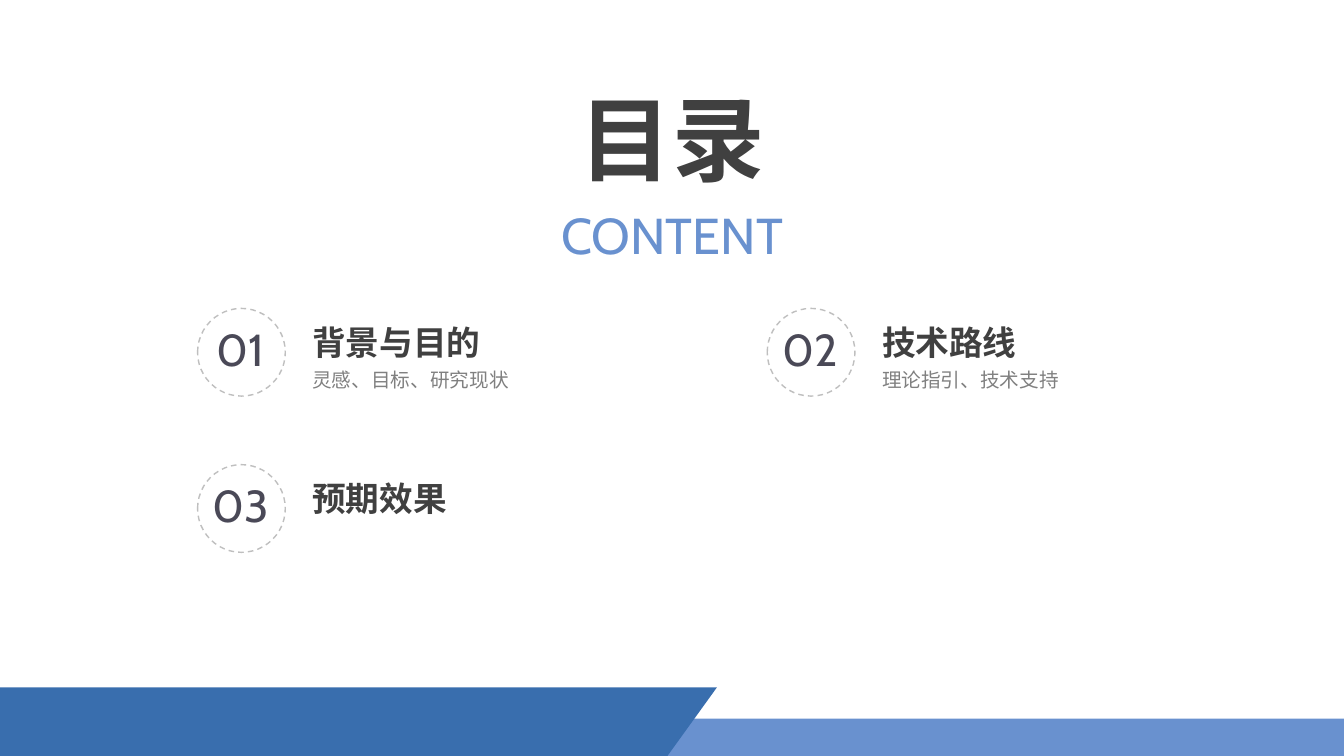
from pptx import Presentation
from pptx.dml.color import RGBColor
from pptx.enum.dml import MSO_LINE
from pptx.enum.shapes import MSO_SHAPE
from pptx.enum.text import MSO_AUTO_SIZE, PP_ALIGN
from pptx.util import Inches, Pt

COLORS = {
    "background": "FFFFFF",
    "band": "6991CF",
    "wedge": "396EAE",
    "heading": "404040",
    "detail": "808080",
    "number": "4A4957",
    "ring": "BFBFBF",
}
TOPICS = [
    ("背景与目的", "灵感、目标、研究现状", 2.17),
    ("技术路线", "理论指引、技术支持", 1.97),
    ("预期效果", None, None),
]
COLUMNS = 2
LEFT, TOP = 1.87, 3.14
COLUMN_STEP, ROW_STEP = 5.65, 1.55


def rgb(name):
    return RGBColor.from_string(COLORS[name])


def add_text(shapes, text, x, y, w, h, *, size, color, font="Cabin",
             bold=False, align=PP_ALIGN.LEFT, wrap=True, spacing=None):
    tf = shapes.add_textbox(Inches(x), Inches(y), Inches(w), Inches(h)).text_frame
    tf.word_wrap = wrap
    tf.auto_size = MSO_AUTO_SIZE.SHAPE_TO_FIT_TEXT
    p = tf.paragraphs[0]
    p.alignment = align
    if spacing:
        p.line_spacing = spacing
    r = p.add_run()
    r.text = text
    r.font.name = font
    r.font.size = Pt(size)
    r.font.bold = bold
    r.font.color.rgb = rgb(color)


def fill_plain(sp, color):
    sp.shadow.inherit = False
    sp.fill.solid()
    sp.fill.fore_color.rgb = rgb(color)
    sp.line.fill.background()


def add_footer(s):
    band = s.shapes.add_shape(MSO_SHAPE.RECTANGLE, Inches(0), Inches(7.13),
                              Inches(13.33), Inches(0.37))
    fill_plain(band, "band")
    outline = s.shapes.build_freeform(Inches(0), Inches(7.5))
    corners = [(6.62, 7.5), (7.11, 6.82), (0, 6.82)]
    outline.add_line_segments([(Inches(x), Inches(y)) for x, y in corners])
    fill_plain(outline.convert_to_shape(), "wedge")


def add_badge(s, number, x, y):
    badge = s.shapes.add_group_shape()
    add_text(badge.shapes, f"{number:02d}", x, y, 1.04, 0.64,
             size=32, color="number", align=PP_ALIGN.CENTER)
    ring = badge.shapes.add_shape(MSO_SHAPE.OVAL, Inches(x + 0.09), Inches(y - 0.08),
                                  Inches(0.87), Inches(0.87))
    ring.shadow.inherit = False
    ring.fill.background()
    ring.line.color.rgb = rgb("ring")
    ring.line.width = Pt(1)
    ring.line.dash_style = MSO_LINE.DASH


def add_topic(s, index, title, detail, detail_width):
    row, column = divmod(index, COLUMNS)
    x = LEFT + column * COLUMN_STEP
    y = TOP + row * ROW_STEP
    add_text(s.shapes, title, x + 1.13, y, 3.15, 0.5,
             size=24, color="heading", font="Karla", bold=True)
    if detail:
        add_text(s.shapes, detail, x + 1.13, y + 0.39, detail_width, 0.38,
                 size=14, color="detail", wrap=False, spacing=1.3)
    add_badge(s, index + 1, x, y)


def main():
    prs = Presentation()
    prs.slide_width, prs.slide_height = Inches(13.33), Inches(7.5)
    s = prs.slides.add_slide(prs.slide_layouts[6])
    s.background.fill.solid()
    s.background.fill.fore_color.rgb = rgb("background")
    add_footer(s)
    add_text(s.shapes, "目录", 5.22, 0.77, 2.89, 1.21,
             size=66, color="heading", bold=True, align=PP_ALIGN.CENTER)
    add_text(s.shapes, "CONTENT", 4.57, 1.98, 4.19, 0.71,
             size=36, color="band", align=PP_ALIGN.CENTER)
    for index, topic in enumerate(TOPICS):
        add_topic(s, index, *topic)
    prs.save("out.pptx")


if __name__ == "__main__":
    main()
